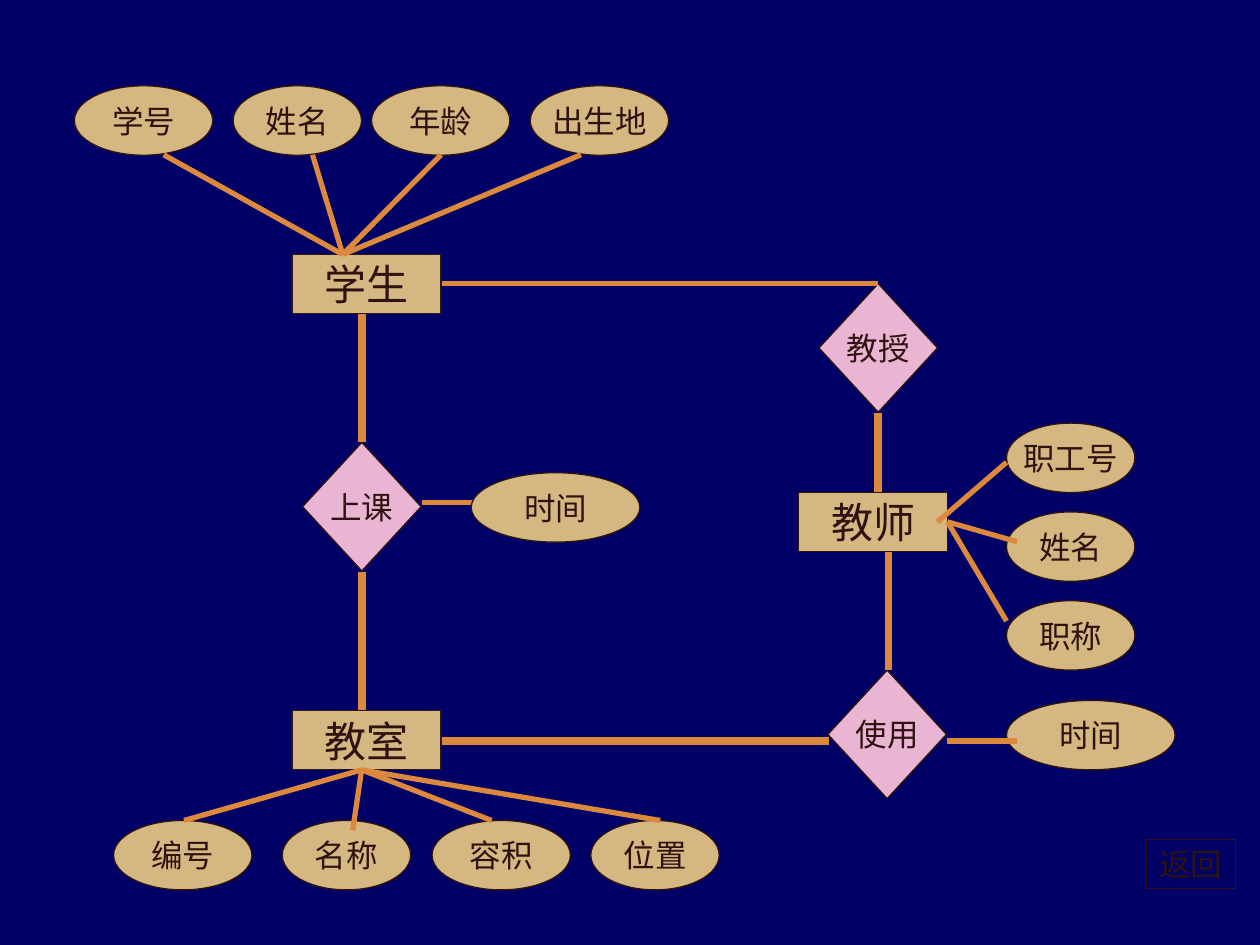
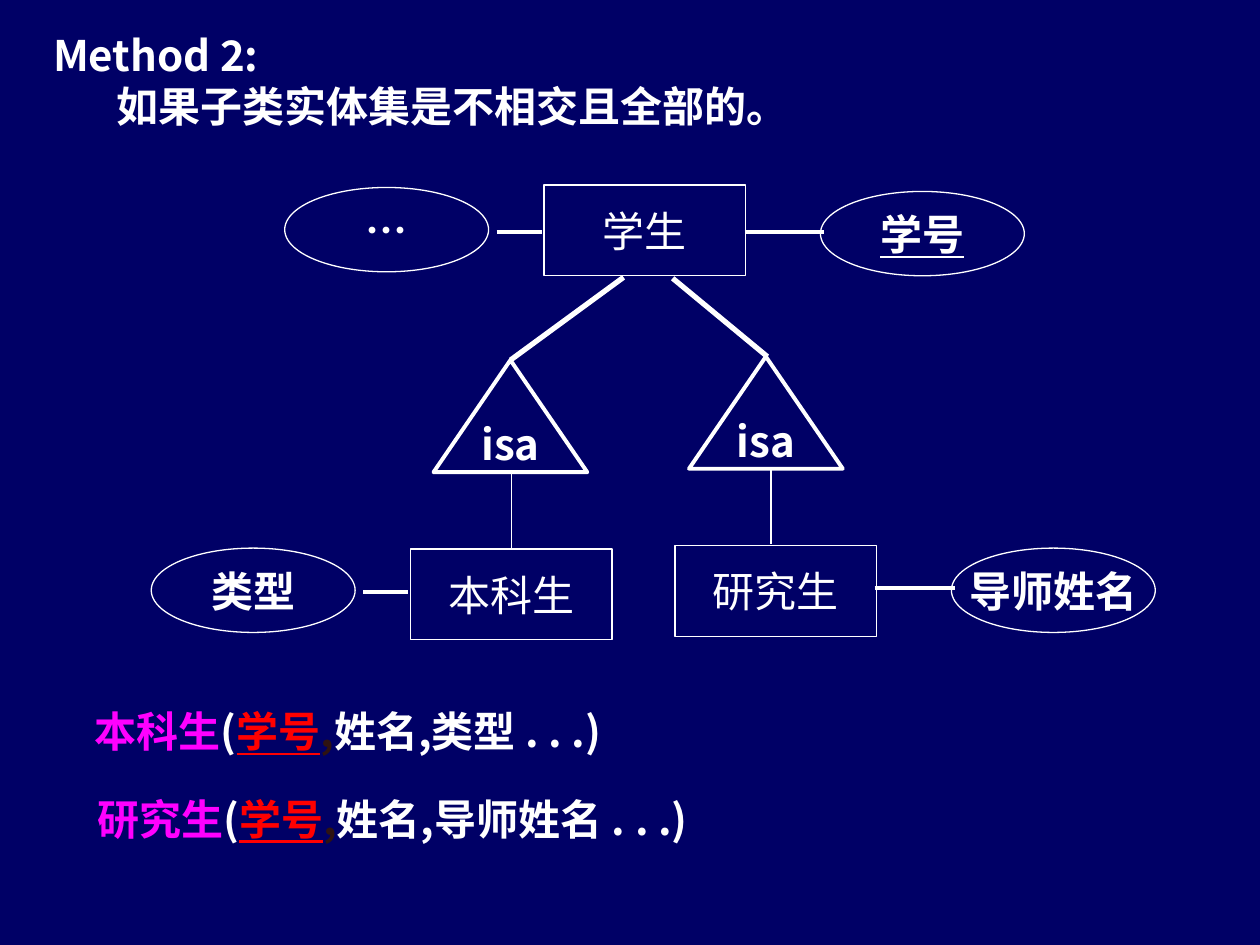
from dataclasses import dataclass

from lxml import etree
from pptx import Presentation
from pptx import util as u
from pptx.dml.color import RGBColor
from pptx.enum import shapes, text
from pptx.oxml import ns

Kind = shapes.MSO_SHAPE


@dataclass(frozen=True)
class Theme:
    background: str = "000066"
    ink: str = "2F1311"
    sand: str = "D5B781"
    pink: str = "E9B5D3"
    orange: str = "DC893E"
    white: str = "FFFFFF"
    magenta: str = "FF00FF"
    red: str = "FF0000"
    latin: str = "Arial"
    cjk: str = "Noto Sans CJK SC"
    small: int = 18
    large: int = 24
    hairline: float = 0.75
    medium: float = 2.25
    thick: float = 3
    heavy: float = 4.5


class Deck:
    def __init__(self, theme):
        self.theme = theme
        self.file = Presentation()
        self.file.slide_width, self.file.slide_height = u.Cm(25.4), u.Cm(19.05)
        self.slide = None

    def new_slide(self):
        self.slide = self.file.slides.add_slide(self.file.slide_layouts[6])
        fill = self.slide.background.fill
        fill.solid()
        fill.fore_color.rgb = RGBColor.from_string(self.theme.background)

    def run(self, paragraph, words, color, size, font, bold=False, underline=False):
        run = paragraph.add_run()
        run.text = words
        run.font.size = u.Pt(size)
        run.font.bold = bold
        run.font.underline = underline
        run.font.name = font
        run.font.color.rgb = RGBColor.from_string(color)
        east_asian = etree.SubElement(run._r.get_or_add_rPr(), ns.qn("a:ea"))
        east_asian.set("typeface", self.theme.cjk)

    def node(self, kind, label, left, top, width, height, fill=None, line=None,
             weight=None, inset=True, **style):
        node = self.slide.shapes.add_shape(
            kind, u.Cm(left), u.Cm(top), u.Cm(width), u.Cm(height))
        node.shadow.inherit = False
        if fill:
            node.fill.solid()
            node.fill.fore_color.rgb = RGBColor.from_string(fill)
        else:
            node.fill.background()
        node.line.color.rgb = RGBColor.from_string(line or self.theme.ink)
        node.line.width = u.Pt(weight or self.theme.hairline)
        frame = node.text_frame
        frame.word_wrap = not inset
        frame.vertical_anchor = text.MSO_ANCHOR.MIDDLE
        if not inset:
            self.clear_margins(frame)
        paragraph = frame.paragraphs[0]
        paragraph.alignment = text.PP_ALIGN.CENTER
        self.run(paragraph, label, **style)

    def clear_margins(self, frame):
        frame.margin_left = frame.margin_right = u.Cm(0)
        frame.margin_top = frame.margin_bottom = u.Cm(0)

    def er_node(self, kind, label, left, top, width, height, fill, size=None):
        t = self.theme
        self.node(kind, label, left, top, width, height, fill=fill,
                  color=t.ink, size=size or t.small, font=t.latin)

    def attribute(self, label, left, top, width=2.79):
        self.er_node(Kind.OVAL, label, left, top, width, 1.4, self.theme.sand)

    def entity(self, label, left, top):
        self.er_node(Kind.RECTANGLE, label, left, top, 3, 1.19,
                     self.theme.sand, self.theme.large)

    def relationship(self, label, left, top):
        self.er_node(Kind.DIAMOND, label, left, top, 2.39, 2.59, self.theme.pink)

    def outline(self, kind, label, left, top, width, height, weight=None,
                inset=True, bold=True, underline=False):
        t = self.theme
        self.node(kind, label, left, top, width, height, line=t.white,
                  weight=weight, inset=inset, color=t.white, size=t.large,
                  font=t.cjk, bold=bold, underline=underline)

    def link(self, start, end, color, weight):
        x1, y1, x2, y2 = (u.Cm(v) for v in (*start, *end))
        link = self.slide.shapes.add_connector(
            shapes.MSO_CONNECTOR.STRAIGHT, x1, y1, x2, y2)
        link.line.color.rgb = RGBColor.from_string(color)
        link.line.width = u.Pt(weight)
        etree.SubElement(link._element.spPr, ns.qn("a:effectLst"))

    def fan(self, hub, ends):
        for end in ends:
            self.link(hub, end, self.theme.orange, self.theme.thick)

    def text_box(self, left, top, width, height, paragraphs):
        box = self.slide.shapes.add_textbox(
            u.Cm(left), u.Cm(top), u.Cm(width), u.Cm(height))
        frame = box.text_frame
        frame.word_wrap = True
        self.clear_margins(frame)
        for i, (indent, runs) in enumerate(paragraphs):
            paragraph = frame.add_paragraph() if i else frame.paragraphs[0]
            paragraph._p.get_or_add_pPr().set("marL", str(u.Cm(indent)))
            for words, color, underline in runs:
                self.run(paragraph, words, color, self.theme.large,
                         self.theme.cjk, bold=True, underline=underline)

    def schema(self, left, top, entity, fields):
        t = self.theme
        runs = [(entity, t.magenta, False), ("(", t.white, False),
                ("学号", t.red, True), (",", t.ink, False),
                (fields, t.white, False)]
        self.text_box(left, top, 14.5, 1.24, [(0, runs)])


def teaching_model(deck):
    t = deck.theme
    deck.new_slide()
    for label, left, top in [("使用", 16.69, 13.51), ("教授", 16.51, 5.72),
                             ("上课", 6.1, 8.92)]:
        deck.relationship(label, left, top)
    deck.link((17.7, 5.72), (8.89, 5.72), t.orange, t.thick)
    for start, end in [((17.7, 8.33), (17.7, 9.93)),
                       ((7.29, 11.53), (7.29, 14.33)),
                       ((7.29, 8.92), (7.29, 6.32)),
                       ((16.71, 14.94), (8.71, 14.94)),
                       ((17.91, 13.51), (17.91, 10.92))]:
        deck.link(start, end, t.orange, t.heavy)
    for label, left, top in [("学生", 5.89, 5.13), ("教师", 16.1, 9.93),
                             ("教室", 5.89, 14.33)]:
        deck.entity(label, left, top)

    student = [("学号", 1.5, 2.79), ("姓名", 4.7, 2.59),
               ("年龄", 7.49, 2.79), ("出生地", 10.69, 2.79)]
    classroom = [("编号", 2.29, 2.79), ("名称", 5.69, 2.59),
                 ("容积", 8.71, 2.79), ("位置", 11.91, 2.59)]
    for top, attributes in [(1.73, student), (16.54, classroom)]:
        for label, left, width in attributes:
            deck.attribute(label, left, top, width)
    for row, label in enumerate(["职工号", "姓名", "职称"]):
        deck.attribute(label, 20.29, 8.53 + 1.79 * row, 2.59)

    deck.fan((7.29, 15.52), [(3.71, 16.54), (7.11, 16.74),
                             (9.91, 16.54), (13.31, 16.54)])
    deck.fan((6.91, 5.13), [(x, 3.12) for x in (3.3, 6.3, 8.89, 11.71)])
    deck.fan((18.9, 10.52), [(20.29, 9.32)])
    deck.fan((19.1, 10.52), [(20.5, 10.92), (20.29, 12.52)])
    deck.fan((8.51, 10.13), [(9.7, 10.13)])
    deck.attribute("时间", 9.5, 9.53, 3.4)
    deck.attribute("时间", 20.29, 14.12, 3.4)
    deck.fan((20.5, 14.94), [(19.1, 14.94)])
    deck.er_node(Kind.RECTANGLE, "返回", 23.11, 16.92, 1.8, 0.99, t.background)


def subclass_method(deck):
    t = deck.theme
    deck.new_slide()
    deck.text_box(1.07, 0.6, 23.85, 2.46, [
        (0, [("Method 2:", t.white, False)]),
        (1.27, [("如果子类实体集是不相交且全部的。", t.white, False)])])
    deck.schema(1.91, 14.22, "本科生", "姓名,类型 . . .)")
    deck.schema(1.96, 15.99, "研究生", "姓名,导师姓名 . . .)")

    for label, left, top in [("学生", 10.97, 3.73), ("本科生", 8.28, 11.07),
                             ("研究生", 13.61, 11)]:
        deck.outline(Kind.RECTANGLE, label, left, top, 4.06, 1.83, bold=False)
    for left, top in [(8.74, 7.26), (13.89, 7.19)]:
        deck.outline(Kind.ISOSCELES_TRIANGLE, "isa", left, top, 3.1, 2.26,
                     weight=t.medium, inset=False)
    for label, left, top in [("类型", 3.05, 11.05), ("导师姓名", 19.18, 11.05),
                             ("学号", 16.54, 3.86), ("…", 5.74, 3.78)]:
        deck.outline(Kind.OVAL, label, left, top, 4.11, 1.7,
                     underline=label == "学号")

    for start, end, weight in [
            ((12.57, 5.59), (10.29, 7.26), t.thick),
            ((13.56, 5.61), (15.47, 7.19), t.thick),
            ((10.31, 11.07), (10.31, 9.55), t.hairline),
            ((15.54, 10.97), (15.54, 9.45), t.hairline),
            ((7.32, 11.94), (8.23, 11.94), t.medium),
            ((17.63, 11.86), (19.25, 11.86), t.medium),
            ((15.01, 4.67), (16.61, 4.67), t.medium),
            ((10.01, 4.67), (10.92, 4.67), t.medium)]:
        deck.link(start, end, t.white, weight)


def main():
    deck = Deck(Theme())
    teaching_model(deck)
    subclass_method(deck)
    deck.file.save("out.pptx")


if __name__ == "__main__":
    main()
